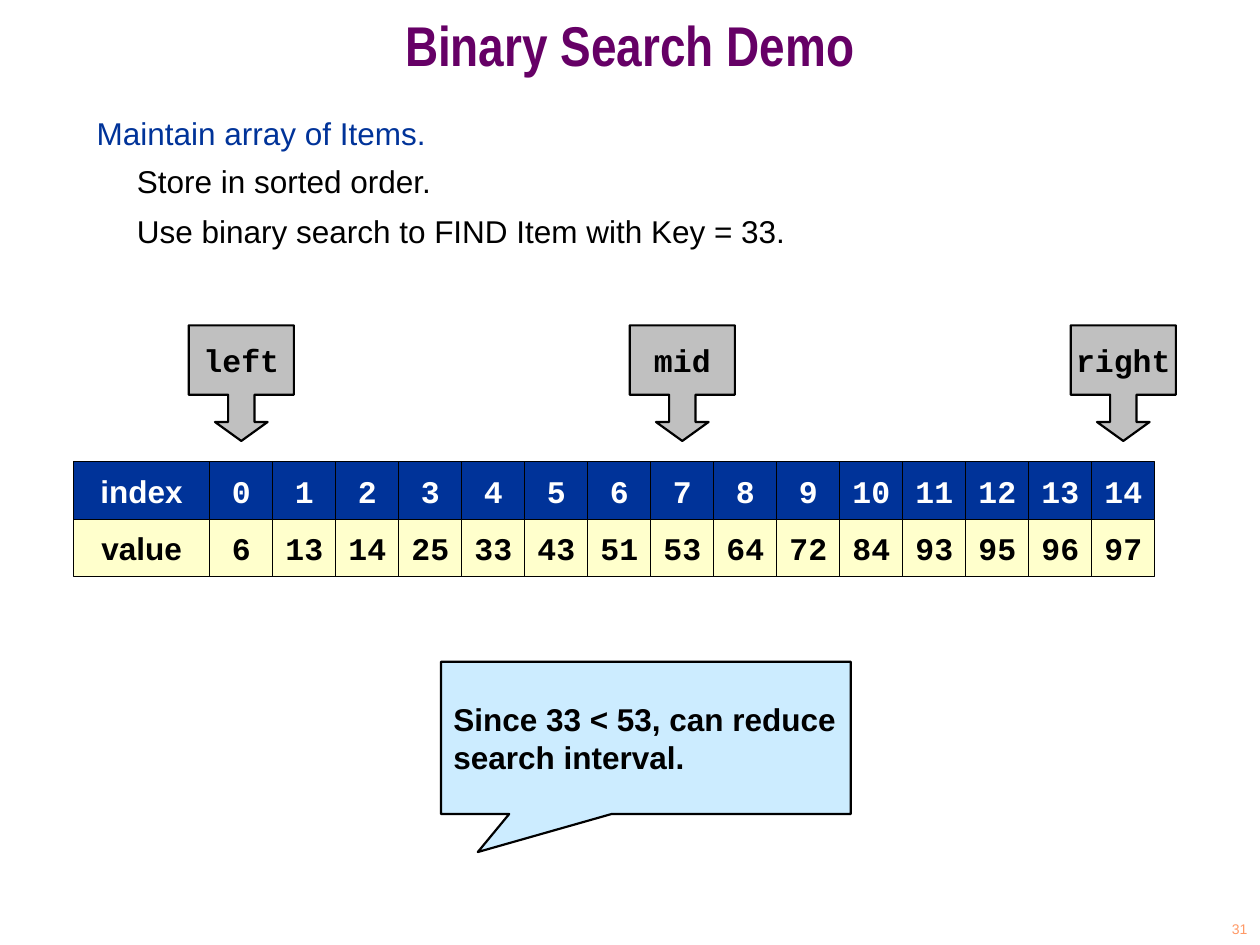
import pptx
import pptx.util
import pptx.dml.color
import pptx.enum.shapes
import pptx.enum.text

Cm = pptx.util.Cm
Pt = pptx.util.Pt
RGBColor = pptx.dml.color.RGBColor
SHAPE = pptx.enum.shapes.MSO_SHAPE
ALIGN = pptx.enum.text.PP_ALIGN
ANCHOR = pptx.enum.text.MSO_ANCHOR

PURPLE = RGBColor(0x66, 0x00, 0x66)
NAVY = RGBColor(0x00, 0x33, 0x99)
ORANGE = RGBColor(0xFF, 0x99, 0x66)
CREAM = RGBColor(0xFF, 0xFF, 0xCC)
GRAY = RGBColor(0xC0, 0xC0, 0xC0)
SKY = RGBColor(0xCC, 0xEC, 0xFF)
BLACK = RGBColor(0x00, 0x00, 0x00)
WHITE = RGBColor(0xFF, 0xFF, 0xFF)

VALUES = [6, 13, 14, 25, 33, 43, 51, 53, 64, 72, 84, 93, 95, 96, 97]
POINTERS = {"left": 0, "mid": 7, "right": 14}
LABEL_W = Cm(2.75)
CELL_W = Cm(1.27)
CELL_H = Cm(1.16)


def add_run(p, text, font, size, color, bold=False):
    r = p.add_run()
    r.text = text
    r.font.name = font
    r.font.size = Pt(size)
    r.font.color.rgb = color
    r.font.bold = bold


def add_text_box(s, x, y, w, h, anchor, wrap=True):
    tf = s.shapes.add_textbox(x, y, w, h).text_frame
    tf.word_wrap = wrap
    tf.vertical_anchor = anchor
    return tf


def add_box(s, kind, x, y, w, h, fill, line_width, text, font, color=BLACK,
            align=ALIGN.CENTER, wrap=False, space_before=0):
    sp = s.shapes.add_shape(kind, x, y, w, h)
    sp.shadow.inherit = False
    sp.fill.solid()
    sp.fill.fore_color.rgb = fill
    sp.line.color.rgb = BLACK
    sp.line.width = Pt(line_width)
    tf = sp.text_frame
    tf.word_wrap = wrap
    tf.vertical_anchor = ANCHOR.MIDDLE
    p = tf.paragraphs[0]
    p.alignment = align
    p.space_before = Pt(space_before)
    add_run(p, text, font, 18, color, True)
    return sp


def add_title(s, x, y, w, h):
    p = add_text_box(s, x, y, w, h, ANCHOR.MIDDLE).paragraphs[0]
    p.alignment = ALIGN.CENTER
    p.line_spacing = 0.7
    add_run(p, "Binary Search Demo", "Arial Narrow", 32, PURPLE, True)


def add_body(s, x, y, w, h):
    tf = add_text_box(s, x, y, w, h, ANCHOR.TOP)
    p = tf.paragraphs[0]
    p.line_spacing = 0.7
    p.space_before = Pt(4.5)
    add_run(p, "Maintain array of Items.", "Arial", 18, NAVY)
    for text in ("Store in sorted order.",
                 "Use binary search to FIND Item with Key = 33."):
        p = tf.add_paragraph()
        p.level = 1
        p.line_spacing = 1.1
        p.space_before = Pt(4.5)
        pPr = p._p.get_or_add_pPr()
        pPr.set("marL", str(Cm(1.45)))
        pPr.set("indent", str(Cm(-0.64)))
        add_run(p, text, "Arial", 18, BLACK)


def add_array(s, x, y):
    rows = (("index", range(len(VALUES)), NAVY, WHITE),
            ("value", VALUES, CREAM, BLACK))
    for row, (label, items, fill, color) in enumerate(rows):
        top = y + row * CELL_H
        add_box(s, SHAPE.RECTANGLE, x, top, LABEL_W, CELL_H, fill, 0.75,
                label, "Arial", color)
        for col, item in enumerate(items):
            add_box(s, SHAPE.RECTANGLE, x + LABEL_W + col * CELL_W, top,
                    CELL_W, CELL_H, fill, 0.75, str(item), "Courier New", color)


def add_pointers(s, x, y, w, h):
    for name, index in POINTERS.items():
        center = x + int((index + 0.5) * CELL_W)
        sp = add_box(s, SHAPE.DOWN_ARROW_CALLOUT, center - w // 2, y, w, h,
                     GRAY, 1.25, name, "Courier New", space_before=11.2)
        for i, value in enumerate((0.25, 0.25, 0.18, 0.6)):
            sp.adjustments[i] = value


def add_comment(s, x, y, w, h):
    sp = add_box(s, SHAPE.RECTANGULAR_CALLOUT, x, y, w, h, SKY, 1.25,
                 "Since 33 < 53, can reduce search interval.", "Arial",
                 align=ALIGN.LEFT, wrap=True, space_before=11.2)
    sp.adjustments[0] = -0.41
    sp.adjustments[1] = 0.75


def add_page_number(s, x, y, w, h):
    p = add_text_box(s, x, y, w, h, ANCHOR.MIDDLE, False).paragraphs[0]
    p.alignment = ALIGN.RIGHT
    add_run(p, "31", "Arial", 8, ORANGE)


def main():
    prs = pptx.Presentation()
    prs.slide_width = Cm(25.4)
    prs.slide_height = Cm(19.05)
    s = prs.slides.add_slide(prs.slide_layouts[6])
    array_x = Cm(1.48)
    add_body(s, Cm(1.7), Cm(2.38), Cm(21.8), Cm(6.14))
    add_title(s, 0, 0, prs.slide_width, Cm(2.12))
    add_page_number(s, Cm(20.11), Cm(18.41), Cm(5.29), Cm(0.64))
    add_array(s, array_x, Cm(9.31))
    add_pointers(s, array_x + LABEL_W, Cm(6.56), Cm(2.12), Cm(2.33))
    add_comment(s, Cm(8.89), Cm(13.34), Cm(8.26), Cm(3.07))
    prs.save("out.pptx")


if __name__ == "__main__":
    main()
